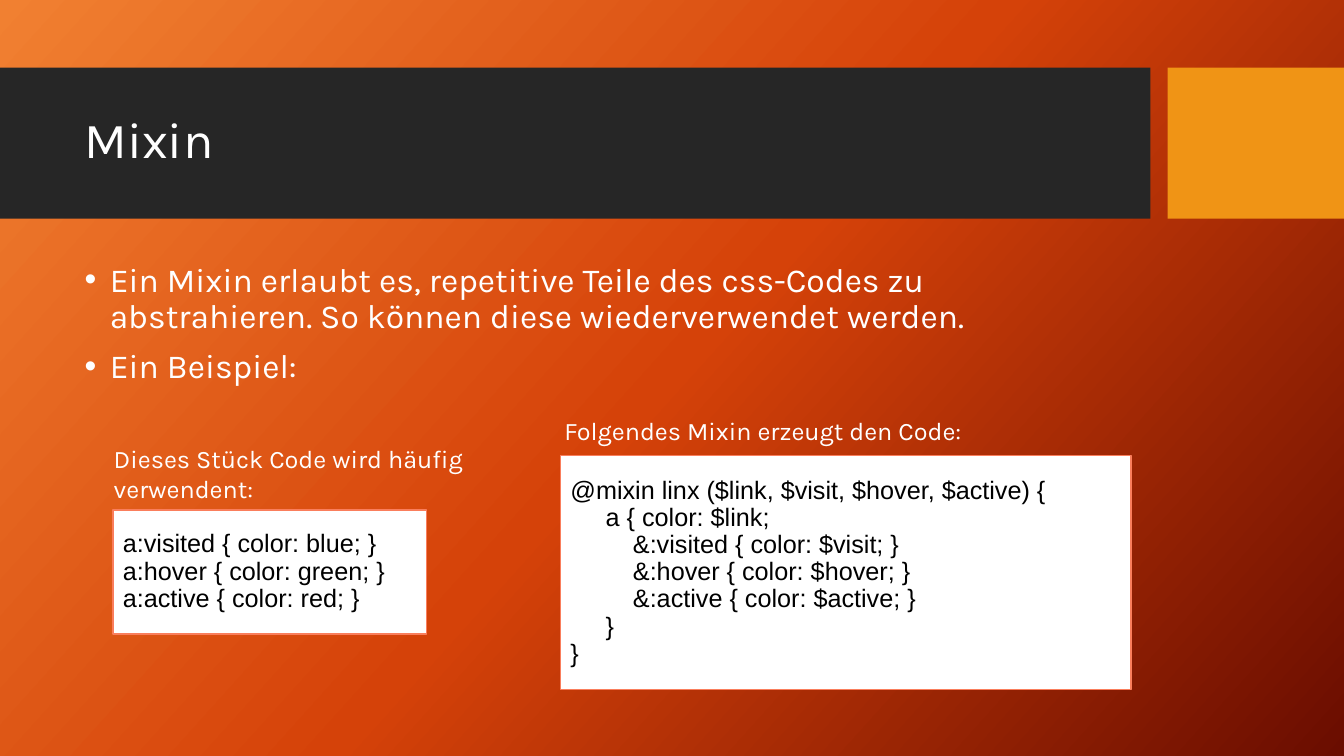
from copy import deepcopy

from lxml import etree
from pptx import Presentation
from pptx.dml.color import RGBColor
from pptx.enum.shapes import MSO_SHAPE
from pptx.enum.text import MSO_ANCHOR, PP_ALIGN
from pptx.oxml.ns import qn
from pptx.util import Inches, Pt

RECTANGLE = MSO_SHAPE.RECTANGLE
TOP, MIDDLE = MSO_ANCHOR.TOP, MSO_ANCHOR.MIDDLE
LEFT = PP_ALIGN.LEFT

COLORS = {
    "glow": "F18031", "flame": "D54209", "ember": "6A0D00",
    "band": "262626", "accent": "F09415", "outline": "FA7E5C",
    "white": "FFFFFF", "black": "000000",
}


def add_panel(place, fill, outline=None):
    box = slide.shapes.add_shape(RECTANGLE, *map(Inches, place))
    box.shadow.inherit = False
    box.fill.solid()
    box.fill.fore_color.rgb = RGBColor.from_string(COLORS[fill])
    if outline:
        box.line.color.rgb = RGBColor.from_string(COLORS[outline])
        box.line.width = Pt(1)
    else:
        box.line.fill.background()
    return box


def write(box, text, size, font, color, spacing=1.0, anchor=TOP):
    frame = box.text_frame
    frame.word_wrap = True
    frame.vertical_anchor = anchor
    frame.text = text
    for para in frame.paragraphs:
        para.alignment = LEFT
        para.line_spacing = spacing
        for span in para.runs:
            span.font.size = Pt(size)
            span.font.name = font
            span.font.color.rgb = RGBColor.from_string(COLORS[color])
    return frame.paragraphs


deck = Presentation()
deck.slide_width, deck.slide_height = Inches(13.33), Inches(7.5)
slide = deck.slides.add_slide(deck.slide_layouts[6])

# Background gradient with a third stop
fill = slide.background.fill
fill.gradient()
fill.gradient_angle = 360 - 42
first_stop = slide.element.find(".//" + qn("a:gs"))
first_stop.addnext(deepcopy(first_stop))
for stop, position, name in zip(fill.gradient_stops, (0, 0.5, 1), ("glow", "flame", "ember")):
    stop.position = position
    stop.color.rgb = RGBColor.from_string(COLORS[name])

# Title band
add_panel((0, 0.67, 11.41, 1.5), "band")
add_panel((11.58, 0.67, 1.75, 1.5), "accent")
title = slide.shapes.add_textbox(*map(Inches, (0.74, 0.82, 10.51, 1.18)))
write(title, "Mixin", 36, "Karla", "white", 0.9, MIDDLE)

# Bullet points
body = slide.shapes.add_textbox(*map(Inches, (0.74, 2.56, 10.51, 3.94)))
points = (
    "Ein Mixin erlaubt es, repetitive Teile des css-Codes zu abstrahieren. "
    "So können diese wiederverwendet werden.\n"
    "Ein Beispiel:"
)
for para in write(body, points, 24, "Karla", "white", 0.9):
    para.space_before = Pt(10)
    properties = para._p.get_or_add_pPr()
    properties.set("marL", str(Inches(0.25)))
    properties.set("indent", str(Inches(-0.25)))
    etree.SubElement(properties, qn("a:buFont")).set("typeface", "Arial")
    etree.SubElement(properties, qn("a:buChar")).set("char", "•")

# Code boxes: each line with its indent in inches
code_boxes = [
    ((1.12, 5.06, 3.11, 1.23), [
        (0, "a:visited { color: blue; }"),
        (0, "a:hover { color: green; }"),
        (0, "a:active { color: red; }"),
    ]),
    ((5.56, 4.52, 5.66, 2.32), [
        (0, "@mixin linx ($link, $visit, $hover, $active) {"),
        (0.35, "a { color: $link;"),
        (0.62, "&:visited { color: $visit; }"),
        (0.62, "&:hover { color: $hover; }"),
        (0.62, "&:active { color: $active; }"),
        (0.35, "}"),
        (0, "}"),
    ]),
]
for place, lines in code_boxes:
    code_box = add_panel(place, "white", "outline")
    code = "\n".join(line for _, line in lines)
    paragraphs = write(code_box, code, 18, "Arial", "black", 0.9, MIDDLE)
    for para, (indent, _) in zip(paragraphs, lines):
        para._p.get_or_add_pPr().set("marL", str(Inches(indent)))

# Labels above the code boxes, wide enough for their longest line
labels = [
    ((1.03, 4.35, 4.2, 0.71), "Dieses Stück Code wird häufig\nverwendent:"),
    ((5.5, 4.07, 4.5, 0.4), "Folgendes Mixin erzeugt den Code:"),
]
for place, text in labels:
    label = slide.shapes.add_textbox(*map(Inches, place))
    write(label, text, 18, "Karla", "white")

deck.save("out.pptx")
